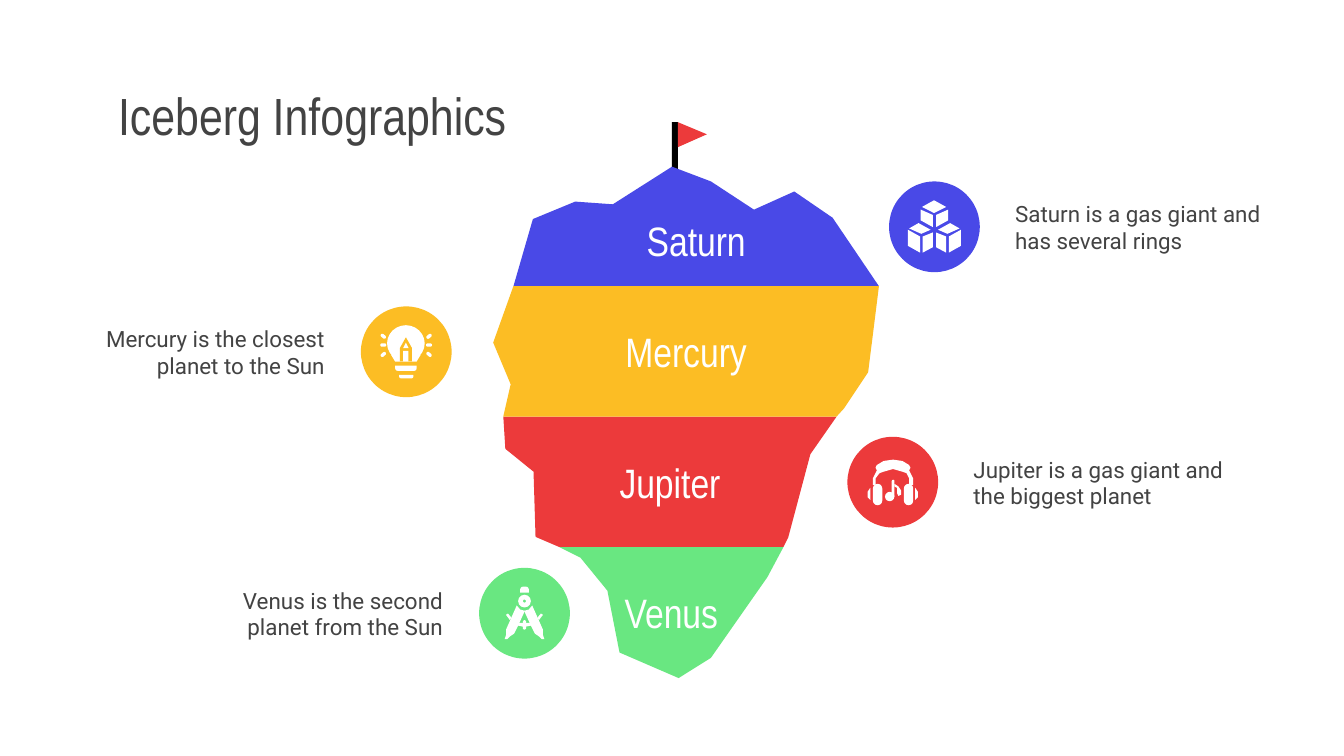
from dataclasses import dataclass

from pptx import Presentation
from pptx.dml.color import RGBColor
from pptx.enum.shapes import MSO_SHAPE as Preset
from pptx.enum.text import MSO_ANCHOR as Anchor, PP_ALIGN as Align
from pptx.util import Pt

PX = 4572
SLIDE_SIZE = (2000, 1125)
BADGE = 135
INSET = 20


@dataclass(frozen=True)
class Theme:
    """Colours, fonts and type sizes of the slide."""
    saturn: str = "4949E7"
    mercury: str = "FCBD24"
    jupiter: str = "EC3A3B"
    venus: str = "69E781"
    ink: str = "434343"
    white: str = "FFFFFF"
    black: str = "000000"
    heading_font: str = "Arial Narrow"
    body_font: str = "Roboto"
    title_size: int = 28
    band_size: int = 22
    caption_size: int = 12


THEME = Theme()


def paint(shape, color):
    """Give a shape a flat fill without line or shadow."""
    shape.shadow.inherit = False
    shape.fill.solid()
    shape.fill.fore_color.rgb = RGBColor.from_string(color)
    shape.line.fill.background()
    return shape


def draw_preset(slide, origin, kind, box, color=THEME.white, turn=0, adjust=None):
    """Draw a preset shape in a box measured from the origin."""
    left, top, width, height = box
    shape = slide.shapes.add_shape(kind, (origin[0] + left) * PX, (origin[1] + top) * PX,
                                   width * PX, height * PX)
    shape.rotation = turn
    if adjust is not None:
        shape.adjustments[0] = adjust
    return paint(shape, color)


def draw_polygon(slide, origin, points, color=THEME.white):
    """Draw a closed outline through points measured from the origin."""
    builder = slide.shapes.build_freeform(*points[0], scale=PX)
    builder.add_line_segments(points[1:], close=True)
    return paint(builder.convert_to_shape(origin[0] * PX, origin[1] * PX), color)


def draw_mirrored(slide, origin, points):
    """Draw a white outline and its reflection across the badge."""
    draw_polygon(slide, origin, points)
    draw_polygon(slide, origin, [(BADGE - x, y) for x, y in points])


def write(shape, wording, font, size, color, align, anchor, top_inset=INSET):
    """Set one paragraph of formatted text in a shape."""
    frame = shape.text_frame
    frame.text = wording
    frame.word_wrap = True
    frame.vertical_anchor = anchor
    frame.margin_left = frame.margin_right = frame.margin_bottom = INSET * PX
    frame.margin_top = top_inset * PX
    paragraph = frame.paragraphs[0]
    paragraph.alignment = align
    style = paragraph.runs[0].font
    style.name, style.size = font, Pt(size)
    style.color.rgb = RGBColor.from_string(color)


def add_title(slide, box, wording):
    """Place the slide heading."""
    heading = slide.shapes.add_textbox(*(side * PX for side in box))
    write(heading, wording, THEME.heading_font, THEME.title_size, THEME.ink,
          Align.LEFT, Anchor.MIDDLE)


def add_iceberg(slide, origin):
    """Stack the four labelled bands under the flag."""
    draw_preset(slide, origin, Preset.RECTANGLE, (266, 0, 9, 88), THEME.black)
    draw_polygon(slide, origin, [(275, 0), (275, 37), (318, 18)], THEME.jupiter)
    bands = [
        ("Venus", THEME.venus, INSET,
         [(98, 632), (130, 648), (170, 697), (188, 789), (276, 827), (324, 797),
          (408, 677), (432, 632)]),
        ("Jupiter", THEME.jupiter, INSET,
         [(15, 438), (18, 486), (60, 520), (63, 617), (98, 632), (432, 632),
          (439, 618), (472, 494), (511, 438)]),
        ("Saturn", THEME.saturn, 3 * INSET,
         [(266, 66), (178, 122), (122, 118), (59, 144), (30, 244), (574, 244),
          (505, 142), (448, 103), (388, 130), (324, 88)]),
        ("Mercury", THEME.mercury, INSET,
         [(30, 244), (0, 328), (26, 390), (15, 438), (511, 438), (522, 426),
          (558, 372), (574, 244)]),
    ]
    for planet, color, top_inset, points in bands:
        band = draw_polygon(slide, origin, points, color)
        write(band, planet, THEME.heading_font, THEME.band_size, THEME.white,
              Align.CENTER, Anchor.MIDDLE, top_inset)


def add_cubes(slide, origin, color):
    """Draw three stacked cubes inside a badge."""
    draw_polygon(slide, origin, [(67, 28), (49, 38), (67, 47), (85, 38)])
    for face in (
        [(47, 42), (47, 58), (65, 68), (65, 50)],
        [(44, 62), (30, 70), (48, 78), (62, 72)],
        [(65, 76), (50, 82), (50, 106), (65, 98)],
        [(28, 72), (28, 96), (46, 106), (46, 82)],
    ):
        draw_mirrored(slide, origin, face)


def add_bulb(slide, origin, color):
    """Draw a light bulb holding a pencil inside a badge."""
    for left, tilt in ((29, 1), (97, -1)):
        for top, turn in ((42, 40), (55, 0), (69, -40)):
            draw_preset(slide, origin, Preset.ROUNDED_RECTANGLE, (left, top, 9, 5),
                        turn=tilt * turn, adjust=0.5)
    draw_preset(slide, origin, Preset.OVAL, (39, 28, 56, 54))
    draw_polygon(slide, origin, [(45, 72), (51, 82), (83, 82), (89, 72)])
    draw_polygon(slide, origin, [(58, 82), (58, 62), (67, 46), (76, 62), (76, 82)], color)
    draw_preset(slide, origin, Preset.RECTANGLE, (63, 66, 8, 16))
    draw_polygon(slide, origin, [(67, 54), (63, 62), (71, 62)])
    for base in ((51, 88, 32, 8), (57, 102, 21, 5)):
        draw_preset(slide, origin, Preset.ROUND_2_SAME_RECTANGLE, base, turn=180, adjust=0.5)


def add_headphones(slide, origin, color):
    """Draw headphones around a musical note inside a badge."""
    draw_polygon(slide, origin, [
        (38, 72), (38, 62), (44, 50), (42, 46), (44, 42), (54, 36), (68, 34), (82, 36),
        (92, 42), (94, 46), (92, 50), (98, 62), (98, 72), (92, 72), (92, 62), (88, 54),
        (82, 52), (68, 48), (54, 52), (48, 54), (42, 62), (42, 72)])
    for left in (38, 84):
        draw_preset(slide, origin, Preset.ROUNDED_RECTANGLE, (left, 70, 14, 32), adjust=0.5)
    draw_mirrored(slide, origin, [(34, 76), (30, 82), (30, 90), (34, 94)])
    draw_preset(slide, origin, Preset.OVAL, (56, 82, 14, 14))
    draw_preset(slide, origin, Preset.ROUNDED_RECTANGLE, (66, 64, 4, 26), adjust=0.5)
    draw_polygon(slide, origin, [(70, 70), (76, 74), (80, 80), (80, 86), (76, 88),
                                 (74, 84), (74, 76), (70, 74)])


def add_compass(slide, origin, color):
    """Draw a pair of drawing compasses inside a badge."""
    draw_preset(slide, origin, Preset.ROUND_2_SAME_RECTANGLE, (61, 28, 13, 9), adjust=0.5)
    draw_preset(slide, origin, Preset.DONUT, (58, 40, 19, 19), adjust=0.38)
    draw_mirrored(slide, origin, [
        (56, 56), (61, 62), (68, 64), (58, 86), (52, 98), (46, 102), (42, 106),
        (38, 106), (40, 100), (40, 92)])
    draw_mirrored(slide, origin, [(43, 68), (48, 74), (46, 78), (40, 70)])
    draw_polygon(slide, origin, [(59, 82), (76, 82), (78, 86), (67, 88), (57, 86)])
    draw_preset(slide, origin, Preset.ROUNDED_RECTANGLE, (65, 78, 5, 14), adjust=0.5)


def add_fact(slide, origin, color, add_icon, wording, caption_on_left):
    """Place a round badge with its icon and a caption beside it."""
    left, top = origin
    draw_preset(slide, origin, Preset.OVAL, (0, 0, BADGE, BADGE), color)
    add_icon(slide, origin, color)
    offset, align = (-446, Align.RIGHT) if caption_on_left else (168, Align.LEFT)
    caption = slide.shapes.add_textbox((left + offset) * PX, (top + 8) * PX, 412 * PX, 116 * PX)
    write(caption, wording, THEME.body_font, THEME.caption_size, THEME.ink, align, Anchor.TOP)


def main():
    """Build and save the slide."""
    deck = Presentation()
    deck.slide_width, deck.slide_height = (side * PX for side in SLIDE_SIZE)
    slide = deck.slides.add_slide(deck.slide_layouts[6])
    add_title(slide, (156, 118, 756, 106), "Iceberg Infographics")
    add_iceberg(slide, (734, 182))
    for fact in (
        ((1323, 270), THEME.saturn, add_cubes, "Saturn is a gas giant and has several rings", False),
        ((537, 456), THEME.mercury, add_bulb, "Mercury is the closest planet to the Sun", True),
        ((1261, 650), THEME.jupiter, add_headphones,
         "Jupiter is a gas giant and the biggest planet", False),
        ((713, 845), THEME.venus, add_compass, "Venus is the second planet from the Sun", True),
    ):
        add_fact(slide, *fact)
    deck.save("out.pptx")


if __name__ == "__main__":
    main()
